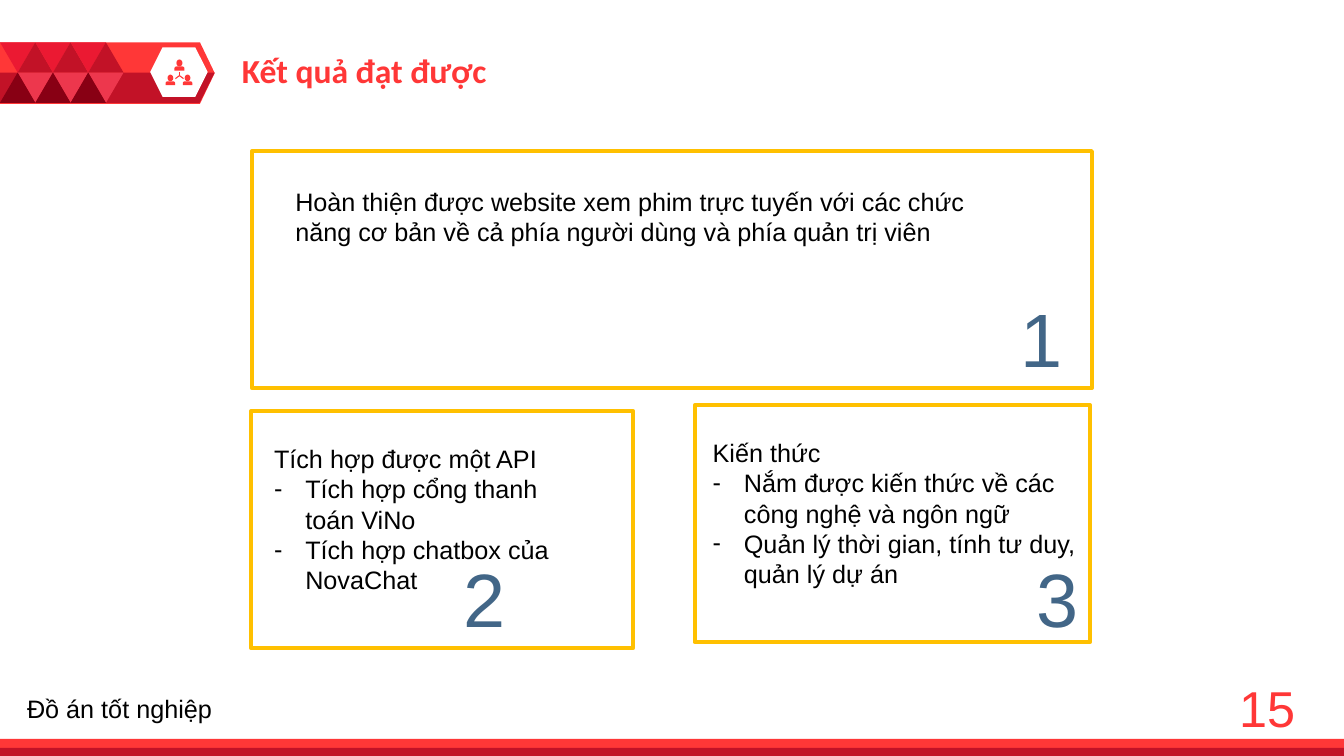
from dataclasses import dataclass

from lxml import etree
from pptx import Presentation
from pptx.dml.color import RGBColor
from pptx.enum import shapes, text
from pptx.oxml import ns
from pptx.util import Inches, Pt

MSO = shapes.MSO_SHAPE


@dataclass(frozen=True)
class Theme:
    red: str = "FF3737"
    crimson: str = "C21227"
    bright: str = "EB1932"
    rose: str = "ED374D"
    maroon: str = "880014"
    gold: str = "FFC000"
    blue: str = "426687"
    black: str = "000000"
    white: str = "FFFFFF"
    font: str = "Arial"
    title_font: str = "Calibri"
    body: int = 18
    title: int = 24
    page: int = 36
    number: int = 54


T = Theme()


def rgb(color):
    return RGBColor.from_string(color)


def paint(sp, fill=None, line=None):
    sp.shadow.inherit = False
    if fill:
        sp.fill.solid()
        sp.fill.fore_color.rgb = rgb(fill)
    else:
        sp.fill.background()
    if line:
        sp.line.color.rgb = rgb(line)
        sp.line.width = Pt(3)
    else:
        sp.line.fill.background()


def add_shape(s, kind, box, fill=None, line=None, adj=None, rotation=0):
    sp = s.shapes.add_shape(kind, *map(Inches, box))
    paint(sp, fill, line)
    if adj is not None:
        sp.adjustments[0] = adj
    sp.rotation = rotation


def add_polygon(s, points, fill):
    start, *rest = [(Inches(x), Inches(y)) for x, y in points]
    builder = s.shapes.build_freeform(*start, scale=1.0)
    builder.add_line_segments(rest, close=True)
    paint(builder.convert_to_shape(), fill)


def add_line(s, start, end, color):
    line = s.shapes.add_connector(shapes.MSO_CONNECTOR.STRAIGHT,
                                  *map(Inches, (*start, *end)))
    line.line.color.rgb = rgb(color)
    line.line.width = Pt(0.75)
    etree.SubElement(line._element.spPr, ns.qn("a:effectLst"))


def add_dash(p):
    """Give the paragraph a hanging dash bullet."""
    pPr = p._p.get_or_add_pPr()
    pPr.set("marL", str(Inches(0.31)))
    pPr.set("indent", str(-Inches(0.31)))
    color = etree.SubElement(pPr, ns.qn("a:buClr"))
    etree.SubElement(color, ns.qn("a:srgbClr"), val=T.black)
    etree.SubElement(pPr, ns.qn("a:buFont"), typeface=T.font)
    etree.SubElement(pPr, ns.qn("a:buChar"), char="-")


def add_text(s, box, lines, size=T.body, color=T.black, name=T.font,
             bold=False, right=False, grow=True):
    """Write the first line plain and the others as dash bullets."""
    tf = s.shapes.add_textbox(*map(Inches, box)).text_frame
    tf.word_wrap = True
    fit = text.MSO_AUTO_SIZE
    tf.auto_size = fit.SHAPE_TO_FIT_TEXT if grow else fit.NONE
    for i, line in enumerate(lines):
        p = tf.add_paragraph() if i else tf.paragraphs[0]
        if i:
            add_dash(p)
        if right:
            p.alignment = text.PP_ALIGN.RIGHT
        r = p.add_run()
        r.text = line
        for key, value in dict(size=Pt(size), name=name, bold=bold).items():
            setattr(r.font, key, value)
        r.font.color.rgb = rgb(color)


def add_person(s, x, y, scale=1.0):
    """Draw a head over rounded shoulders, centred on x with its top at y."""
    add_shape(s, MSO.OVAL, (x - 0.03 * scale, y, 0.06 * scale, 0.07 * scale), T.red)
    add_shape(s, MSO.ROUND_2_SAME_RECTANGLE,
              (x - 0.05 * scale, y + 0.07 * scale, 0.1 * scale, 0.04 * scale),
              T.red, adj=0.5)


def add_team_icon(s):
    hub = (1.78, 0.75)
    for end in ((1.78, 0.71), (1.74, 0.78), (1.82, 0.78)):
        add_line(s, hub, end, T.red)
    add_person(s, 1.78, 0.59)
    for x in (1.69, 1.86):
        add_person(s, x, 0.74, 0.95)


def add_banner(s):
    top, middle, bottom = 0.42, 0.72, 1.02
    add_shape(s, MSO.PENTAGON, (0, top, 2.13, 0.61), T.red, adj=0.24)
    add_polygon(s, [(0, middle), (2.13, middle), (1.98, bottom), (0, bottom)], T.crimson)
    add_shape(s, MSO.HEXAGON, (1.49, 0.47, 0.57, 0.49), T.white, adj=0.25)
    add_team_icon(s)
    width, height = 0.35, 0.3
    for column in range(3):
        x = column * width
        for dx, y, color, rotation in ((0, top, T.bright, 180),
                                       (width / 2, top, T.crimson, 0),
                                       (width / 2, middle, T.rose, 180),
                                       (0, middle, T.maroon, 0)):
            add_shape(s, MSO.ISOSCELES_TRIANGLE, (x + dx, y, width, height),
                      color, rotation=rotation)


def add_footer(s):
    add_shape(s, MSO.RECTANGLE, (0, 7.33, 13.33, 0.16), T.red)
    add_shape(s, MSO.RECTANGLE, (0, 7.42, 13.33, 0.08), T.crimson)
    add_text(s, (0.17, 6.83, 2.83, 0.4), ["Đồ án tốt nghiệp"], grow=False)
    add_text(s, (6.28, 6.67, 6.67, 0.71), ["15"], T.page, T.red, right=True)


RESULTS = [
    ((2.5, 1.5, 8.33, 2.35), (2.83, 1.8, 6.92, 0.71), (9, 2.85),
     ["Hoàn thiện được website xem phim trực tuyến với các chức năng cơ bản "
      "về cả phía người dùng và phía quản trị viên"]),
    ((2.49, 4.08, 3.79, 2.35), (2.62, 4.35, 3.17, 1.62), (3.47, 5.43),
     ["Tích hợp được một API", "Tích hợp cổng thanh toán ViNo",
      "Tích hợp chatbox của NovaChat"]),
    ((6.89, 4.02, 3.92, 2.35), (6.97, 4.29, 3.92, 1.62), (9.16, 5.43),
     ["Kiến thức", "Nắm được kiến thức về các công nghệ và ngôn ngữ",
      "Quản lý thời gian, tính tư duy, quản lý dự án"]),
]


def main():
    prs = Presentation()
    prs.slide_width, prs.slide_height = Inches(13.33), Inches(7.5)
    s = prs.slides.add_slide(prs.slide_layouts[6])
    add_banner(s)
    add_text(s, (2.3, 0.45, 4.22, 0.5), ["Kết quả đạt được"], T.title, T.red,
             T.title_font, bold=True)
    for number, (frame, body, corner, lines) in enumerate(RESULTS, 1):
        add_shape(s, MSO.RECTANGLE, frame, line=T.gold)
        add_text(s, body, lines)
        add_text(s, (*corner, 1.64, 1.01), [str(number)], T.number, T.blue, right=True)
    add_footer(s)
    prs.save("out.pptx")


if __name__ == "__main__":
    main()
